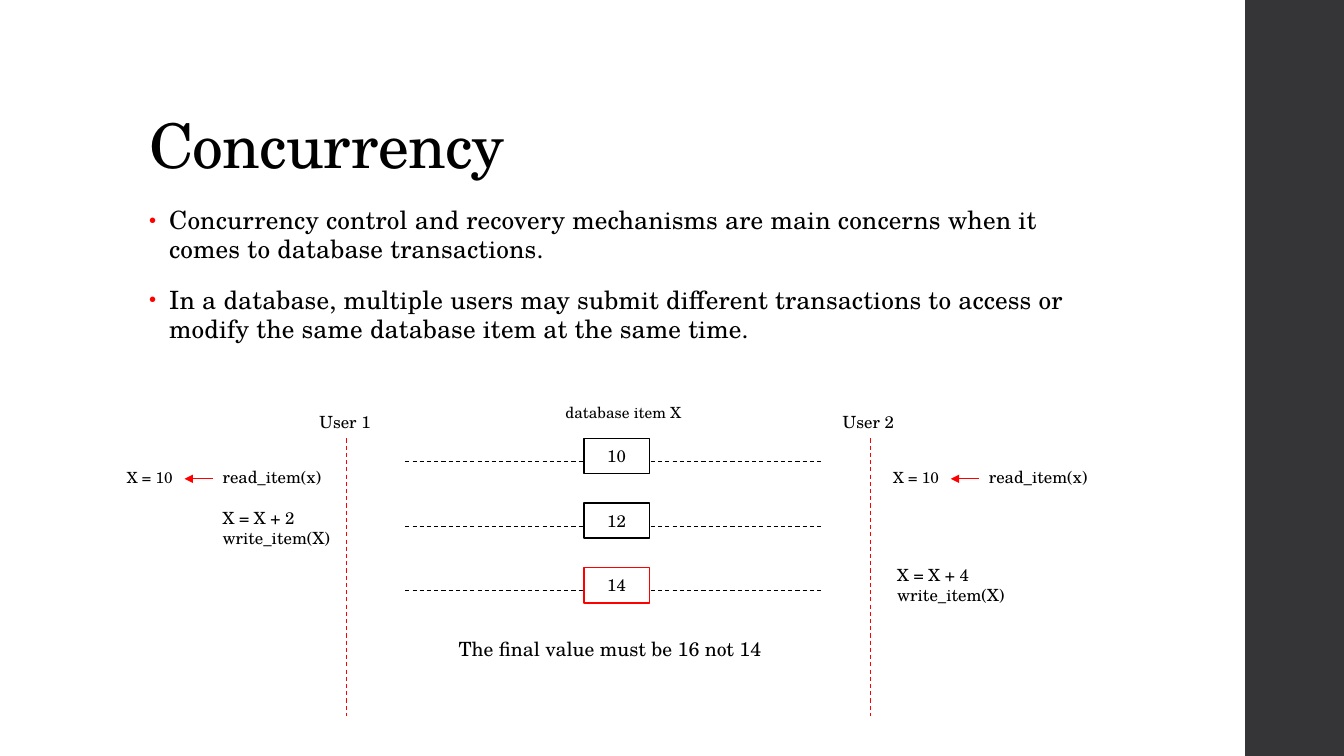
from dataclasses import dataclass

from lxml.etree import SubElement
from pptx import Presentation
from pptx.dml.color import RGBColor
from pptx.enum.dml import MSO_LINE
from pptx.enum.shapes import MSO_CONNECTOR, MSO_SHAPE
from pptx.enum.text import MSO_ANCHOR as Anchor, PP_ALIGN as Align
from pptx.oxml.ns import qn
from pptx.util import Inches, Pt


@dataclass(frozen=True)
class Theme:
    font: str = "TeX Gyre Schola"
    ink: str = "000000"
    accent: str = "FF0000"
    paper: str = "FFFFFF"
    band: str = "353537"
    title: float = 44
    body: float = 18
    note: float = 14
    label: float = 12
    small: float = 11
    thin: float = 0.75
    frame: float = 1.1


@dataclass(frozen=True)
class Label:
    text: str
    left: float
    top: float
    width: float
    height: float
    size: float


@dataclass(frozen=True)
class Line:
    start: tuple[float, float]
    end: tuple[float, float]
    color: str
    arrow: bool = False


@dataclass(frozen=True)
class State:
    """A value that the database item takes over time."""
    value: str
    border: str


THEME = Theme()
BULLETS = (
    "Concurrency control and recovery mechanisms are main concerns when it "
    "comes to database transactions.",
    "In a database, multiple users may submit different transactions to access or "
    "modify the same database item at the same time.",
)
STATES = (State("10", THEME.ink), State("12", THEME.ink), State("14", THEME.accent))
STATE_TOP, STATE_STEP = 4.35, 0.64
USER_LINES = (3.44, 8.63)
READ_LEFTS = (2.11, 9.71)
LABELS = (
    Label("database item X", 5.51, 3.95, 1.44, 0.29, THEME.small),
    Label("X = X + 2\nwrite_item(X)", 2.11, 4.99, 1.33, 0.5, THEME.label),
    Label("X = X + 4\nwrite_item(X)", 8.8, 5.55, 1.33, 0.5, THEME.label),
    Label("The final value must be 16 not 14", 4.45, 6.27, 3.28, 0.34, THEME.note),
)


def rgb(color: str) -> RGBColor:
    return RGBColor.from_string(color)


def style_text(frame, size: float, tracking: int = 0) -> None:
    """Format every run; tracking is in hundredths of a point."""
    for para in frame.paragraphs:
        for span in para.runs:
            span.font.name = THEME.font
            span.font.size = Pt(size)
            span.font.color.rgb = rgb(THEME.ink)
            if tracking:
                span.font._element.set("spc", str(tracking))


def add_label(page, label: Label, tracking: int = 0):
    box = page.shapes.add_textbox(
        Inches(label.left), Inches(label.top), Inches(label.width), Inches(label.height))
    frame = box.text_frame
    frame.word_wrap = True
    frame.margin_right = 0
    frame.text = label.text
    style_text(frame, label.size, tracking)
    return frame


def add_line(page, line: Line) -> None:
    """Draw an arrow when asked for, otherwise a dashed line."""
    connector = page.shapes.add_connector(
        MSO_CONNECTOR.STRAIGHT, *(Inches(value) for value in line.start + line.end))
    connector.line.color.rgb = rgb(line.color)
    connector.line.width = Pt(THEME.thin)
    if line.arrow:
        SubElement(connector.line._get_or_add_ln(), qn("a:tailEnd"), type="triangle")
    else:
        connector.line.dash_style = MSO_LINE.DASH
    SubElement(connector._element.spPr, qn("a:effectLst"))


def add_rectangle(page, left: float, top: float, width: float, height: float, fill: str):
    box = page.shapes.add_shape(
        MSO_SHAPE.RECTANGLE, Inches(left), Inches(top), Inches(width), Inches(height))
    box.shadow.inherit = False
    box.fill.solid()
    box.fill.fore_color.rgb = rgb(fill)
    box.line.fill.background()
    return box


def add_state(page, state: State, top: float) -> None:
    middle = top + 0.23
    add_line(page, Line((4.02, middle), (8.16, middle), THEME.ink))
    box = add_rectangle(page, 5.79, top, 0.65, 0.35, THEME.paper)
    box.line.color.rgb = rgb(state.border)
    box.line.width = Pt(THEME.frame)
    frame = box.text_frame
    frame.text = state.value
    frame.vertical_anchor = Anchor.MIDDLE
    frame.paragraphs[0].alignment = Align.CENTER
    style_text(frame, THEME.label)


def add_user(page, number: int, line_x: float, read_left: float) -> None:
    """Draw a user's time line and the read that starts the transaction."""
    add_label(page, Label(f"User {number}", line_x - 0.37, 4.04, 0.74, 0.3, THEME.label))
    add_line(page, Line((line_x, 4.35), (line_x, 7.1), THEME.accent))
    add_label(page, Label("read_item(x)", read_left, 4.58, 1.33, 0.3, THEME.label))
    add_line(page, Line((read_left, 4.75), (read_left - 0.28, 4.75), THEME.accent, arrow=True))
    add_label(page, Label("X = 10", read_left - 0.95, 4.59, 0.66, 0.29, THEME.small))


def add_heading(page) -> None:
    frame = add_label(page, Label("Concurrency", 1.38, 0.4, 10.6, 1.45, THEME.title), -50)
    frame.vertical_anchor = Anchor.BOTTOM
    frame.paragraphs[0].line_spacing = 0.9


def add_bullets(page) -> None:
    frame = add_label(page, Label("\n".join(BULLETS), 1.38, 2, 9.4, 4.76, THEME.body), 10)
    frame.margin_right = Inches(0.1)
    for para in frame.paragraphs:
        para.line_spacing = 0.95
        para.space_before = Pt(14)
        para.space_after = Pt(2)
        properties = para._p.get_or_add_pPr()
        properties.set("marL", str(Inches(0.2)))
        properties.set("indent", str(Inches(-0.2)))
        SubElement(SubElement(properties, qn("a:buClr")), qn("a:srgbClr"), val=THEME.accent)
        SubElement(properties, qn("a:buSzPct"), val="80000")
        SubElement(properties, qn("a:buFont"), typeface="Arial")
        SubElement(properties, qn("a:buChar"), char="•")


def main() -> None:
    deck = Presentation()
    deck.slide_width, deck.slide_height = Inches(13.33), Inches(7.5)
    page = deck.slides.add_slide(deck.slide_layouts[6])
    page.background.fill.solid()
    page.background.fill.fore_color.rgb = rgb(THEME.paper)

    add_rectangle(page, 12.35, 0, 0.98, 7.5, THEME.band)
    add_heading(page)
    add_bullets(page)
    for row, state in enumerate(STATES):
        add_state(page, state, STATE_TOP + row * STATE_STEP)
    for number, (line_x, read_left) in enumerate(zip(USER_LINES, READ_LEFTS), start=1):
        add_user(page, number, line_x, read_left)
    for label in LABELS:
        add_label(page, label)
    deck.save("out.pptx")


if __name__ == "__main__":
    main()
